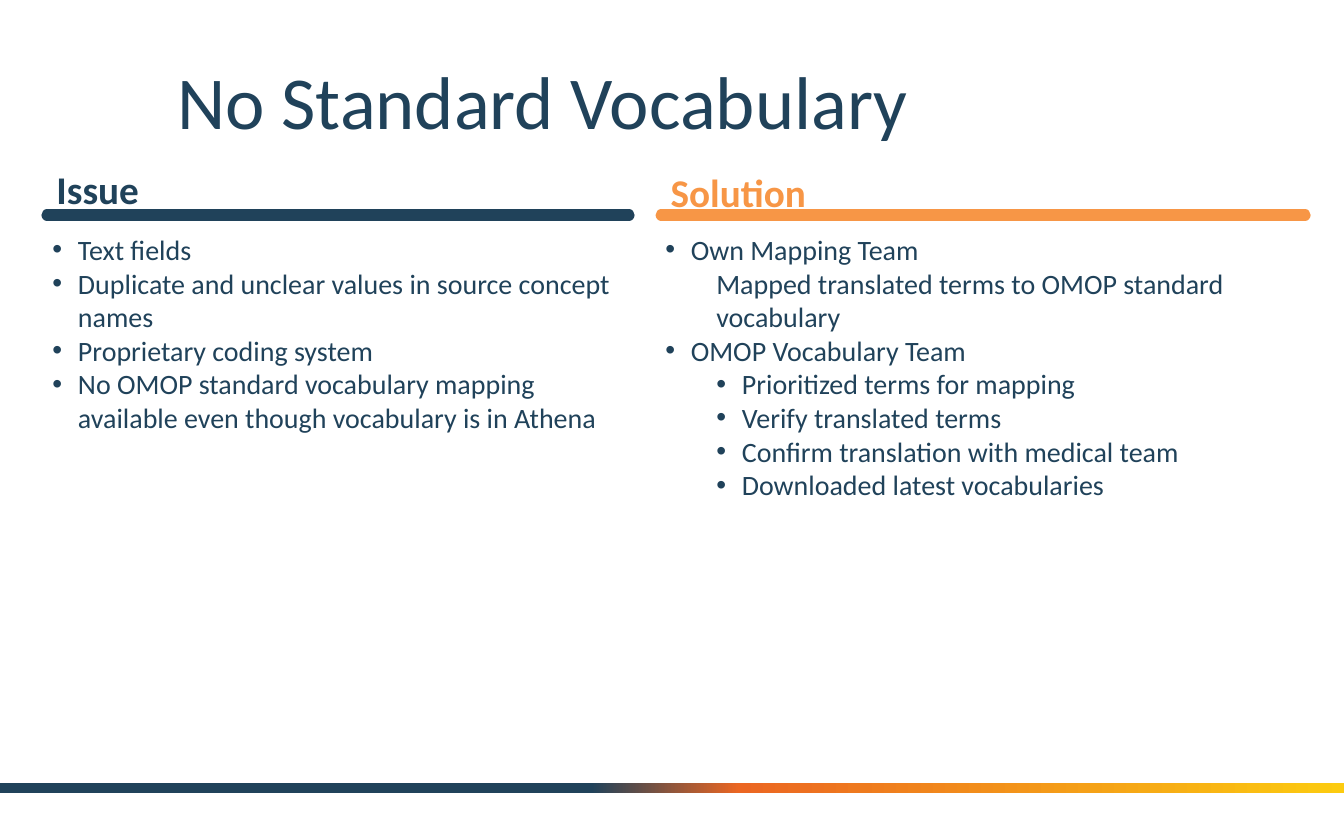
import copy

import lxml.etree
import pptx
import pptx.dml.color
import pptx.enum.dml
import pptx.enum.shapes
import pptx.enum.text
import pptx.oxml.ns
import pptx.util

Inches = pptx.util.Inches
qn = pptx.oxml.ns.qn

THEME = {
    "font": "Calibri",
    "navy": pptx.dml.color.RGBColor.from_string("20425A"),
    "orange": pptx.dml.color.RGBColor.from_string("F79646"),
    "band": [(0.44, "20425A"), (0.55, "EB6622"), (1, "FCCB10")],
    "title": pptx.util.Pt(40),
    "heading": pptx.util.Pt(21),
    "body": pptx.util.Pt(15),
    "rule": pptx.util.Pt(6),
}
TOP = pptx.enum.text.MSO_ANCHOR.TOP
MIDDLE = pptx.enum.text.MSO_ANCHOR.MIDDLE
INDENT = 0.19


def fill_box(box, place, inset, anchor, lines, size, color, bold=False, spacing=1.0):
    box.left, box.top, box.width, box.height = (Inches(value) for value in place)
    frame = box.text_frame
    frame_format = {
        "word_wrap": True,
        "auto_size": pptx.enum.text.MSO_AUTO_SIZE.NONE,
        "vertical_anchor": anchor,
        "margin_left": Inches(0.07),
        "margin_right": Inches(0.07),
        "margin_top": Inches(inset),
        "margin_bottom": Inches(inset),
    }
    for name, value in frame_format.items():
        setattr(frame, name, value)
    for index, (level, margin, bulleted, text) in enumerate(lines):
        para = frame.add_paragraph() if index else frame.paragraphs[0]
        para_format = {
            "level": level,
            "alignment": pptx.enum.text.PP_ALIGN.LEFT,
            "line_spacing": spacing,
            "space_before": pptx.util.Pt(0),
            "space_after": pptx.util.Pt(0),
        }
        for name, value in para_format.items():
            setattr(para, name, value)
        span = para.add_run()
        span.text = text
        properties = para._p.get_or_add_pPr()
        properties.set("marL", str(Inches(margin)))
        properties.set("indent", str(Inches(-INDENT if bulleted else 0)))
        if bulleted:
            bullet_color = lxml.etree.SubElement(properties, qn("a:buClr"))
            lxml.etree.SubElement(bullet_color, qn("a:srgbClr"), val=str(color))
            lxml.etree.SubElement(properties, qn("a:buFont"), typeface="Arial")
            lxml.etree.SubElement(properties, qn("a:buChar"), char="•")
        else:
            lxml.etree.SubElement(properties, qn("a:buNone"))
        for name, value in {"name": THEME["font"], "size": size, "bold": bold}.items():
            setattr(span.font, name, value)
        span.font.color.rgb = color


deck = pptx.Presentation()
deck.slide_width, deck.slide_height = Inches(10), Inches(6.25)
page = deck.slides.add_slide(deck.slide_layouts.get_by_name("Comparison"))
holders = {box.placeholder_format.idx: box for box in page.placeholders}

band = page.shapes.add_shape(
    pptx.enum.shapes.MSO_SHAPE.RECTANGLE, 0, Inches(5.83), deck.slide_width, Inches(0.07)
)
band.shadow.inherit = False
band.line.fill.background()
band.fill.gradient()
band.fill.gradient_angle = 0
stop_list = band.element.spPr.find(".//" + qn("a:gsLst"))
stop_list.append(copy.deepcopy(stop_list[0]))
for stop, (position, color) in zip(band.fill.gradient_stops, THEME["band"]):
    stop.position = position
    stop.color.rgb = pptx.dml.color.RGBColor.from_string(color)

fill_box(
    holders[0], (1.25, 0.44, 8.25, 0.69), 0.07, MIDDLE,
    [(0, 0, False, "No Standard Vocabulary")], THEME["title"], THEME["navy"], spacing=0.9,
)

columns = [
    {
        "heading": "Issue",
        "color": THEME["navy"],
        "heading_place": (0.35, 1.23, 4.21, 0.27),
        "heading_inset": 0.04,
        "heading_spacing": 0.9,
        "rule": (0.35, 4.68),
        "body_place": (0.32, 1.69, 4.37, 3.7),
        "lines": [
            (0, INDENT, True, "Text fields"),
            (0, INDENT, True, "Duplicate and unclear values in source concept names"),
            (0, INDENT, True, "Proprietary coding system"),
            (0, INDENT, True, "No OMOP standard vocabulary mapping available "
                              "even though vocabulary is in Athena"),
        ],
    },
    {
        "heading": "Solution",
        "color": THEME["orange"],
        "heading_place": (4.92, 1.23, 4.07, 0.4),
        "heading_inset": 0.02,
        "heading_spacing": 1.0,
        "rule": (4.92, 9.71),
        "body_place": (4.88, 1.69, 4.88, 2.1),
        "lines": [
            (0, INDENT, True, "Own Mapping Team"),
            (1, 2 * INDENT, False, "Mapped translated terms to OMOP standard vocabulary"),
            (0, INDENT, True, "OMOP Vocabulary Team"),
            (2, 3 * INDENT, True, "Prioritized terms for mapping"),
            (2, 3 * INDENT, True, "Verify translated terms"),
            (2, 3 * INDENT, True, "Confirm translation with medical team"),
            (2, 3 * INDENT, True, "Downloaded latest vocabularies"),
        ],
    },
]

for index, column in enumerate(columns):
    fill_box(
        holders[1 + 2 * index], column["heading_place"], column["heading_inset"], TOP,
        [(0, 0, False, column["heading"])], THEME["heading"], column["color"],
        bold=True, spacing=column["heading_spacing"],
    )
    fill_box(
        holders[2 + 2 * index], column["body_place"], 0.04, TOP,
        column["lines"], THEME["body"], THEME["navy"],
    )
    start, end = column["rule"]
    rule = page.shapes.add_connector(
        pptx.enum.shapes.MSO_CONNECTOR.STRAIGHT,
        Inches(start), Inches(1.6), Inches(end), Inches(1.6),
    )
    rule.line.width = THEME["rule"]
    rule.line.color.rgb = column["color"]
    rule_properties = rule.element.spPr
    rule_properties.find(qn("a:ln")).set("cap", "rnd")
    lxml.etree.SubElement(rule_properties, qn("a:effectLst"))

deck.save("out.pptx")
